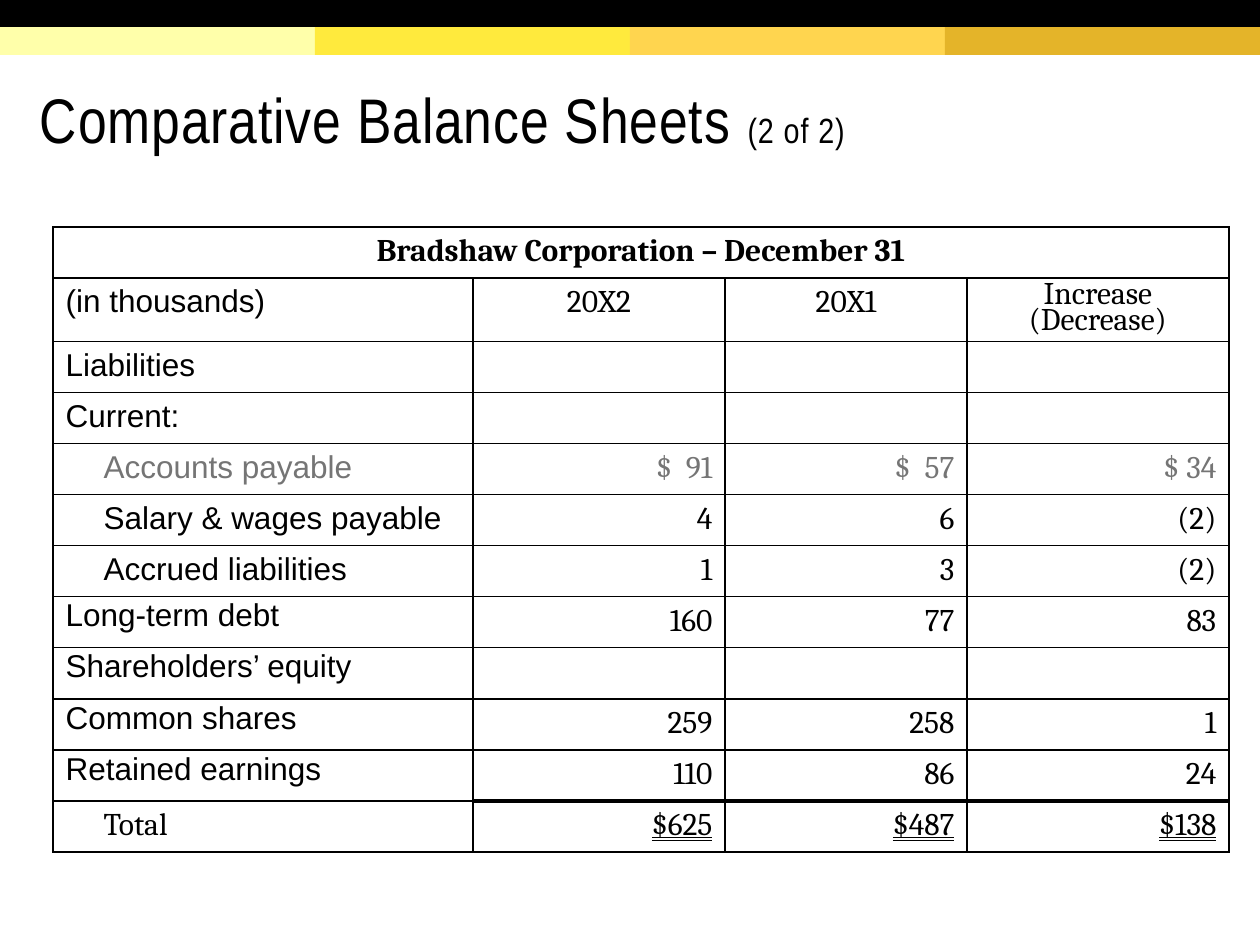
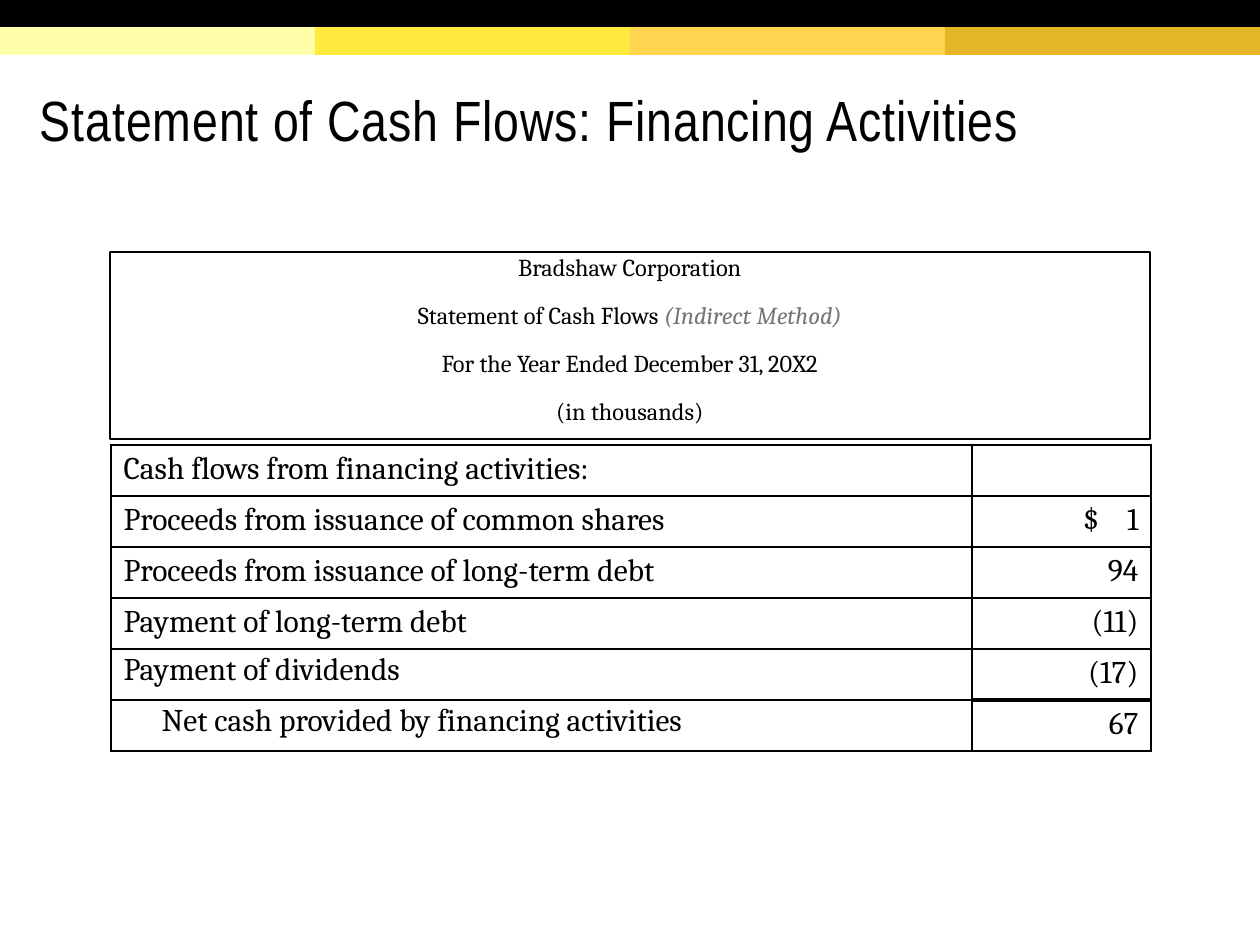
from dataclasses import dataclass

from lxml.etree import SubElement
from pptx import Presentation
from pptx.dml.color import RGBColor
from pptx.enum.shapes import MSO_SHAPE
from pptx.enum.text import MSO_ANCHOR, MSO_AUTO_SIZE, MSO_UNDERLINE, PP_ALIGN
from pptx.oxml.ns import qn
from pptx.util import Emu, Pt

EMU_PER_PX = 914400 / 126
SLIDE_WIDTH, SLIDE_HEIGHT = 1260, 945
ROW_HEIGHT = 51
INDENT = 38


@dataclass(frozen=True)
class Theme:
    ink: str = "000000"
    muted: str = "757575"
    bands: tuple = ("FFFFAA", "FFEA3D", "FFD54F", "E4B429")
    title_font: str = "Arial Narrow"
    label_font: str = "Arial"
    figure_font: str = "Cambria"
    title_size: float = 36
    long_title_size: float = 32.4
    counter_size: float = 20
    table_size: float = 18
    heading_size: float = 13.9
    thin_line: float = 1
    total_line: float = 2.25


THEME = Theme()


def px(length):
    return Emu(round(length * EMU_PER_PX))


def place(shape, left, top, width, height):
    shape.left, shape.top = px(left), px(top)
    shape.width, shape.height = px(width), px(height)


def write(para, text, font=THEME.figure_font, size=THEME.table_size, color=THEME.ink,
          bold=False, italic=False, underline=None, spacing=None):
    """Add one span; spacing is extra letter spacing in points."""
    span = para.add_run()
    span.text = text
    span.font.name, span.font.size = font, Pt(size)
    span.font.color.rgb = RGBColor.from_string(color)
    span.font.bold, span.font.italic = bold, italic
    if underline:
        span.font.underline = underline
    if spacing:
        span._r.get_or_add_rPr().set("spc", str(round(spacing * 100)))


def fill_paragraph(para, content, align=PP_ALIGN.LEFT, line_spacing=None, before=None,
                   after=None, indent=0, **text_format):
    """Content is a string, or a list of (text, format) spans."""
    para.alignment = align
    if line_spacing:
        para.line_spacing = line_spacing
    if before is not None:
        para.space_before = Pt(before)
    if after is not None:
        para.space_after = Pt(after)
    properties = para._p.get_or_add_pPr()
    properties.set("marL", str(px(indent)))
    properties.set("indent", "0")
    SubElement(properties, qn("a:buNone"))
    spans = [(content, {})] if isinstance(content, str) else content
    for text, span_format in spans:
        write(para, text, **{**text_format, **span_format})


def fill_frame(frame, paragraphs, **paragraph_format):
    for index, content in enumerate(paragraphs):
        para = frame.add_paragraph() if index else frame.paragraphs[0]
        fill_paragraph(para, content, **paragraph_format)


def add_bands(slide, master):
    """Draw the top bands and move them to the master, behind every slide."""
    width = SLIDE_WIDTH // len(THEME.bands)
    bands = [(index * width, 27, width, 28, color) for index, color in enumerate(THEME.bands)]
    bands.append((0, 0, SLIDE_WIDTH, 27, THEME.ink))
    for *position, color in bands:
        band = slide.shapes.add_shape(MSO_SHAPE.RECTANGLE, *map(px, position))
        band.shadow.inherit = False
        band.fill.solid()
        band.fill.fore_color.rgb = RGBColor.from_string(color)
        band.line.fill.background()
        master.shapes.element.append(band.element)


def set_title(slide, content, size=THEME.title_size):
    title = slide.shapes.title
    place(title, 27, 59, 1196, 124)
    frame = title.text_frame
    frame.margin_left = frame.margin_top = frame.margin_right = px(13)
    frame.margin_bottom = px(6)
    frame.vertical_anchor = MSO_ANCHOR.MIDDLE
    frame.auto_size = MSO_AUTO_SIZE.NONE
    fill_paragraph(frame.paragraphs[0], content, line_spacing=0.85,
                   font=THEME.title_font, size=size, spacing=0.5)


def set_statement_heading(slide, paragraphs):
    body = slide.placeholders[1]
    place(body, 110, 252, 1040, 187)
    body.line.color.rgb = RGBColor.from_string(THEME.ink)
    body.line.width = Pt(THEME.thin_line)
    body.text_frame.auto_size = MSO_AUTO_SIZE.NONE
    fill_frame(body.text_frame, paragraphs, align=PP_ALIGN.CENTER, line_spacing=0.8,
               before=6, after=8, size=THEME.heading_size)


def set_borders(cell, top, bottom):
    properties = cell._tc.get_or_add_tcPr()
    widths = {"L": THEME.thin_line, "R": THEME.thin_line, "T": top, "B": bottom}
    for side, width in widths.items():
        line = SubElement(properties, qn(f"a:ln{side}"), w=str(Pt(width)))
        solid = SubElement(line, qn("a:solidFill"))
        SubElement(solid, qn("a:srgbClr"), val=THEME.ink)


def add_ledger(slide, left, top, column_widths, row_count):
    """Add an unfilled table with a heavier rule above the figures of its last row."""
    frame = slide.shapes.add_table(row_count, len(column_widths), px(left), px(top),
                                   px(sum(column_widths)), px(ROW_HEIGHT * row_count))
    table = frame.table
    table.first_row = table.horz_banding = False
    for column, width in zip(table.columns, column_widths):
        column.width = px(width)
    for row_index, row in enumerate(table.rows):
        row.height = px(ROW_HEIGHT)
        for column_index, cell in enumerate(row.cells):
            is_figure = column_index > 0
            above = is_figure and row_index == row_count - 1
            below = is_figure and row_index == row_count - 2
            set_borders(cell, THEME.total_line if above else THEME.thin_line,
                        THEME.total_line if below else THEME.thin_line)
            cell.fill.background()
    return table


def fill_row(row, label, figures=(), label_format=None, **figure_format):
    label_cell, *figure_cells = row.cells
    fill_paragraph(label_cell.text_frame.paragraphs[0], label, **(label_format or {}))
    for cell, figure in zip(figure_cells, figures):
        fill_paragraph(cell.text_frame.paragraphs[0], figure,
                       **{"align": PP_ALIGN.RIGHT, **figure_format})


def dollars(figure, gap):
    """Dollar sign set apart from its figure by a space widened by gap points."""
    return [("$", {}), (" ", {"spacing": gap}), (figure, {})]


def build_balance_sheet(slide):
    set_title(slide, [("Comparative Balance Sheets ", {}),
                      ("(2 of 2)", {"size": THEME.counter_size})])
    plain = {"font": THEME.label_font}
    tight = {**plain, "line_spacing": 0.85}
    indented = {**plain, "indent": INDENT}
    muted = {"color": THEME.muted}
    accounts = [
        ("Liabilities", (), plain, {}),
        ("Current:", (), plain, {}),
        ("Accounts payable", (dollars("91", 4), dollars("57", 4), "$ 34"),
         {**indented, **muted}, muted),
        ("Salary & wages payable", ("4", "6", "(2)"), indented, {}),
        ("Accrued liabilities", ("1", "3", "(2)"), indented, {}),
        ("Long-term debt", ("160", "77", "83"), tight, {}),
        ("Shareholders’ equity", (), tight, {}),
        ("Common shares", ("259", "258", "1"), tight, {}),
        ("Retained earnings", ("110", "86", "24"), tight, {}),
        ("Total", ("$625", "$487", "$138"), {"indent": INDENT},
         {"underline": MSO_UNDERLINE.DOUBLE_LINE}),
    ]
    table = add_ledger(slide, 53, 227, (420, 252, 242, 262), len(accounts) + 2)
    heading, columns, *account_rows = table.rows
    table.cell(0, 0).merge(table.cell(0, 3))
    fill_row(heading, "Bradshaw Corporation – December 31",
             label_format={"align": PP_ALIGN.CENTER, "bold": True})
    fill_row(columns, "(in thousands)", ("20X2", "20X1"), plain, align=PP_ALIGN.CENTER)
    fill_frame(table.cell(1, 3).text_frame, ("Increase", "(Decrease)"),
               align=PP_ALIGN.CENTER, line_spacing=0.7)
    for row, (label, figures, label_format, figure_format) in zip(account_rows, accounts):
        fill_row(row, label, figures, label_format, **figure_format)


def build_cash_flows(slide):
    set_title(slide, "Statement of Cash Flows: Financing Activities", THEME.long_title_size)
    set_statement_heading(slide, [
        "Bradshaw Corporation",
        [("Statement of Cash Flows ", {}),
         ("(Indirect Method)", {"color": THEME.muted, "italic": True})],
        "For the Year Ended December 31, 20X2",
        "(in thousands)",
    ])
    tight = {"line_spacing": 0.85}
    flows = [
        ("Cash flows from financing activities:", (), {}),
        ("Proceeds from issuance of common shares", (dollars("1", 12),), {}),
        ("Proceeds from issuance of long-term debt", ("94",), {}),
        ("Payment of long-term debt", ("(11)",), {}),
        ("Payment of dividends", ("(17)",), tight),
        ("Net cash provided by financing activities", ("67",), {**tight, "indent": INDENT}),
    ]
    table = add_ledger(slide, 111, 445, (861, 179), len(flows))
    for row, (label, figures, label_format) in zip(table.rows, flows):
        fill_row(row, label, figures, label_format)


def main():
    deck = Presentation()
    deck.slide_width, deck.slide_height = px(SLIDE_WIDTH), px(SLIDE_HEIGHT)
    title_only = deck.slide_layouts.get_by_name("Title Only")
    title_and_content = deck.slide_layouts.get_by_name("Title and Content")
    balance_sheet = deck.slides.add_slide(title_only)
    add_bands(balance_sheet, deck.slide_master)
    build_balance_sheet(balance_sheet)
    build_cash_flows(deck.slides.add_slide(title_and_content))
    deck.save("out.pptx")


if __name__ == "__main__":
    main()
